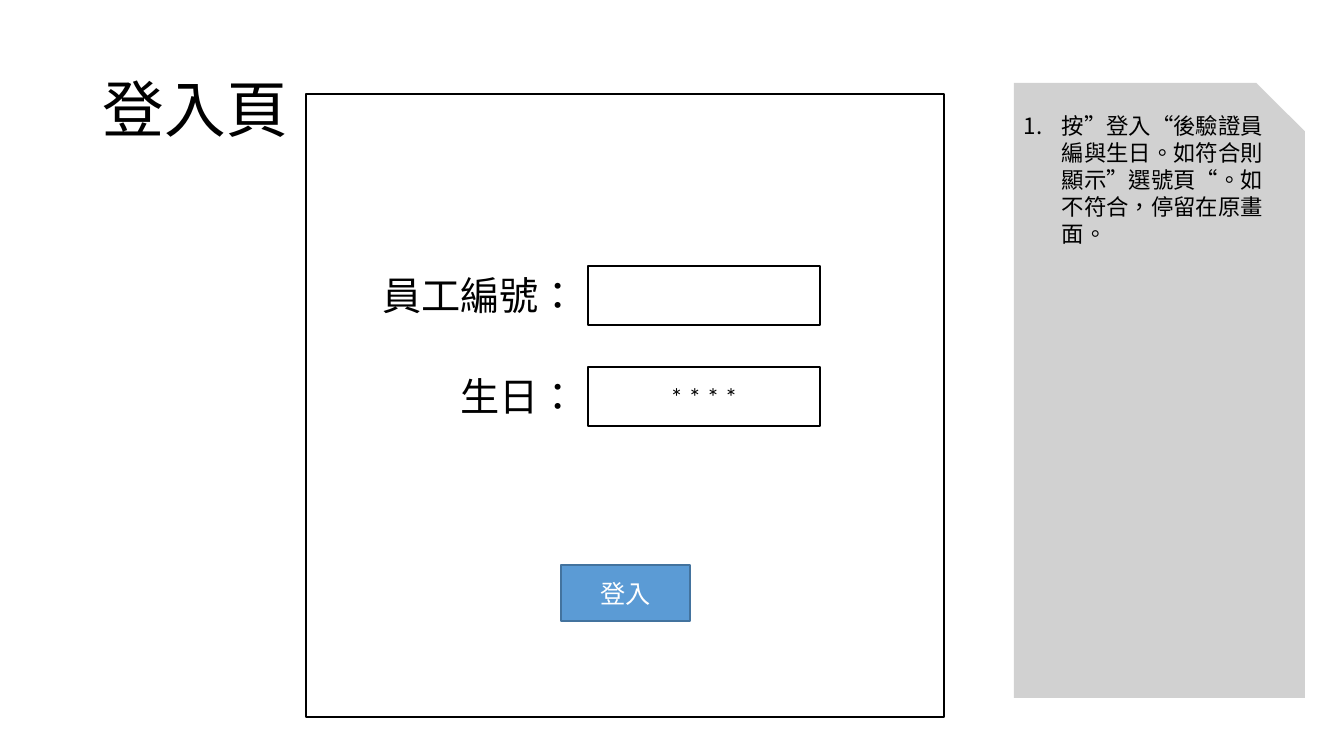
from dataclasses import dataclass

from lxml import etree
from pptx import Presentation
from pptx import util as u
from pptx.dml.color import RGBColor
from pptx.enum import lang, shapes, text
from pptx.oxml import ns

PIXEL = 914400 / 100.8
FONT = "Calibri"
COLORS = {
    "white": "FFFFFF",
    "black": "000000",
    "button": "5B9BD5",
    "button_edge": "43739E",
    "note": "A5A5A5",
}
ALIGN = text.PP_ALIGN
ANCHOR = text.MSO_ANCHOR


@dataclass(frozen=True)
class Box:
    left: int
    top: int
    width: int
    height: int
    fill: str = "white"
    line: str | None = "black"
    preset: shapes.MSO_SHAPE = shapes.MSO_SHAPE.RECTANGLE


@dataclass(frozen=True)
class Label:
    words: str
    size: int
    color: str = "black"
    align: ALIGN = ALIGN.LEFT
    anchor: ANCHOR = ANCHOR.TOP
    wrap: bool = True


@dataclass(frozen=True)
class Field:
    name: str
    label_left: int
    value: str = ""


def px(pixels: int) -> u.Emu:
    return u.Emu(round(pixels * PIXEL))


def rgb(name: str) -> RGBColor:
    return RGBColor.from_string(COLORS[name])


def write(shape, label: Label):
    frame = shape.text_frame
    frame.word_wrap = label.wrap
    frame.vertical_anchor = label.anchor
    paragraph = frame.paragraphs[0]
    paragraph.alignment = label.align
    font = paragraph.font
    font.name, font.size = FONT, u.Pt(label.size)
    font.color.rgb = rgb(label.color)
    run = paragraph.add_run()
    run.text = label.words
    run.font.language_id = lang.MSO_LANGUAGE_ID.TRADITIONAL_CHINESE
    return paragraph


def add_box(slide, box: Box):
    shape = slide.shapes.add_shape(
        box.preset, px(box.left), px(box.top), px(box.width), px(box.height))
    shape.shadow.inherit = False
    shape.fill.solid()
    shape.fill.fore_color.rgb = rgb(box.fill)
    if box.line:
        shape.line.color.rgb = rgb(box.line)
        shape.line.width = u.Pt(1)
    else:
        shape.line.fill.background()
    return shape


def add_label(slide, left: int, top: int, width: int, height: int, label: Label):
    shape = slide.shapes.add_textbox(px(left), px(top), px(width), px(height))
    return write(shape, label)


def set_transparency(shape, opacity: int) -> None:
    color = shape.fill._xPr.find(ns.qn("a:solidFill"))[0]
    etree.SubElement(color, ns.qn("a:alpha"), val=str(opacity * 1000))


def number_paragraph(paragraph, indent: int) -> None:
    properties = paragraph._p.get_or_add_pPr()
    properties.set("marL", str(px(indent)))
    properties.set("indent", str(-px(indent)))
    number = etree.Element(ns.qn("a:buAutoNum"), type="arabicPeriod")
    properties.insert_element_before(number, "a:tabLst", "a:defRPr", "a:extLst")


presentation = Presentation()
presentation.slide_width, presentation.slide_height = px(1344), px(756)
slide = presentation.slides.add_slide(presentation.slide_layouts[6])

# Page frame and title
add_box(slide, Box(306, 94, 638, 623))
title = add_label(slide, 93, 40, 1159, 146, Label("登入頁", 44, anchor=ANCHOR.MIDDLE))
title.line_spacing = 0.9

# Login fields
FIELD_LEFT, FIELD_TOP, FIELD_STEP = 588, 266, 101
FIELDS = [Field("員工編號：", 370), Field("生日：", 449, "* * * *")]
for row, field in enumerate(FIELDS):
    top = FIELD_TOP + row * FIELD_STEP
    add_label(slide, field.label_left, top, FIELD_LEFT - field.label_left, 58,
              Label(field.name, 28, align=ALIGN.RIGHT, wrap=False))
    entry = add_box(slide, Box(FIELD_LEFT, top, 232, 59))
    if field.value:
        write(entry, Label(field.value, 18, align=ALIGN.CENTER, anchor=ANCHOR.MIDDLE))

# Login button
button = add_box(slide, Box(561, 565, 129, 56, "button", "button_edge"))
write(button, Label("登入", 18, "white", ALIGN.CENTER, ANCHOR.MIDDLE))

# Behaviour note
note = add_box(slide, Box(1014, 83, 291, 615, "note", None,
                          shapes.MSO_SHAPE.SNIP_1_RECTANGLE))
set_transparency(note, 50)
rule = write(note, Label(
    "按”登入“後驗證員編與生日。如符合則顯示”選號頁“。如不符合，停留在原畫面。", 16))
number_paragraph(rule, 38)

presentation.save("out.pptx")
